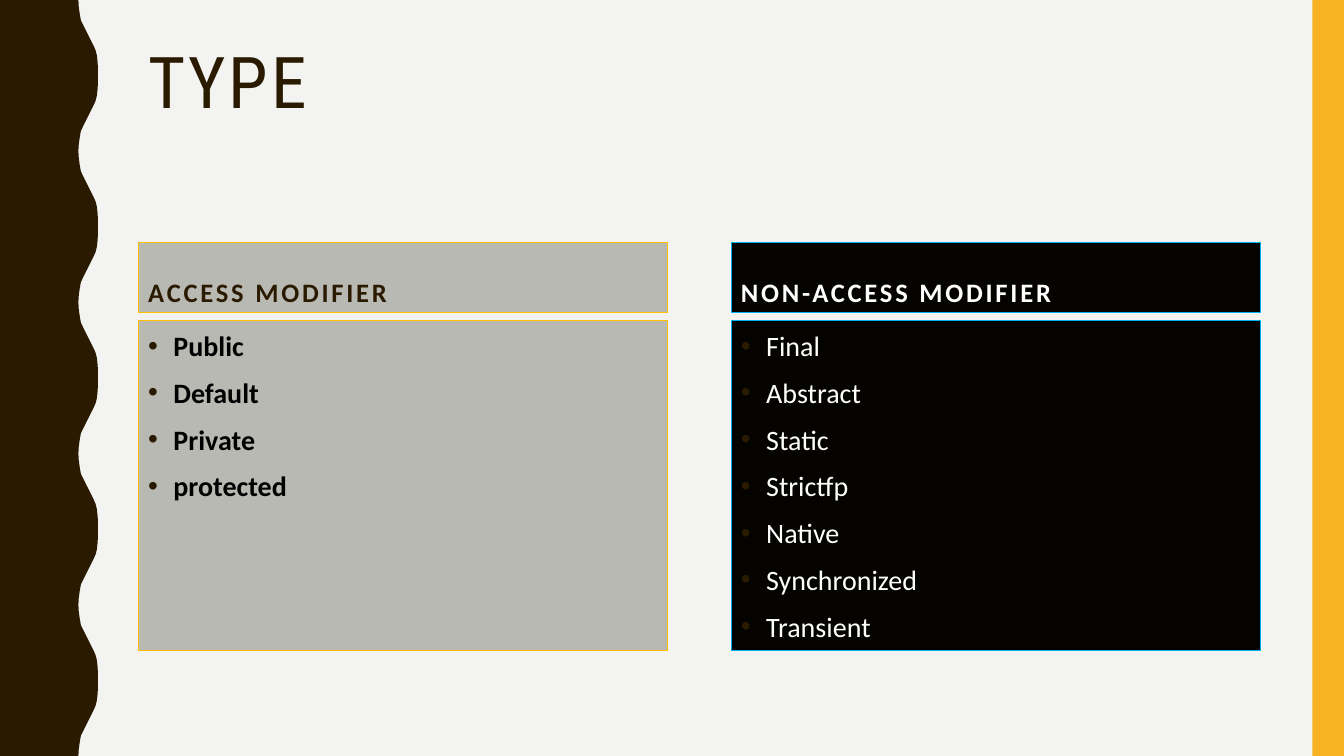
import pptx
import pptx.util
import pptx.dml.color
import pptx.enum.shapes
import pptx.enum.text
import lxml.etree

Pt = pptx.util.Pt
RGB = pptx.dml.color.RGBColor
ANCHOR = pptx.enum.text.MSO_ANCHOR
RECT = pptx.enum.shapes.MSO_SHAPE.RECTANGLE

PAPER = RGB(0xF3, 0xF3, 0xF2)
BROWN = RGB(0x2A, 0x1A, 0x00)
AMBER = RGB(0xF8, 0xB3, 0x23)
GREY = RGB(0xB9, 0xB9, 0xB3)
GOLD = RGB(0xFF, 0xC0, 0x00)
INK = RGB(0x04, 0x03, 0x00)
BLUE = RGB(0x00, 0xB0, 0xF0)
BLACK = RGB(0x00, 0x00, 0x00)
WHITE = RGB(0xFF, 0xFF, 0xFF)

WIDTH, HEIGHT = 960, 540
PERIOD = 108
# Half of one wave, from trough to crest
HALF = [(56, 0), (56.3, 5), (57, 10), (57.8, 14.5), (59.5, 18), (61, 21),
        (62.5, 24), (64, 27), (65.5, 30), (67, 33), (68.3, 36),
        (69.2, 39.5), (69.7, 44), (70, 49), (70, 54)]


def put_text(shape, lines, font="Calibri", size=20, color=BLACK, bold=False,
             gap=0, before=0, lead=None, bullet=None, anchor=ANCHOR.TOP):
    frame = shape.text_frame
    frame.word_wrap = True
    frame.vertical_anchor = anchor
    for i, line in enumerate(lines):
        para = frame.add_paragraph() if i else frame.paragraphs[0]
        para.alignment = pptx.enum.text.PP_ALIGN.LEFT
        para.space_before = Pt(before)
        if lead:
            para.line_spacing = lead
        run = para.add_run()
        run.text = line
        run.font.name = font
        run.font.size = Pt(size)
        run.font.bold = bold
        run.font.color.rgb = color
        if gap:
            run.font._element.set("spc", str(gap * 100))
        if bullet:
            add_bullet(para, bullet)


def add_bullet(para, color):
    props = para._p.get_or_add_pPr()
    props.set("marL", str(Pt(18)))
    props.set("indent", str(-Pt(18)))
    tint = lxml.etree.SubElement(props, pptx.oxml.ns.qn("a:buClr"))
    lxml.etree.SubElement(tint, pptx.oxml.ns.qn("a:srgbClr"), val=str(color))
    lxml.etree.SubElement(props, pptx.oxml.ns.qn("a:buFont"), typeface="Arial")
    lxml.etree.SubElement(props, pptx.oxml.ns.qn("a:buChar"), char="•")


def paint(shape, fill, line=None):
    shape.shadow.inherit = False
    shape.fill.solid()
    shape.fill.fore_color.rgb = fill
    if line:
        shape.line.color.rgb = line
        shape.line.width = Pt(0.75)
    else:
        shape.line.fill.background()


def add_box(slide, left, top, width, height, fill, line=None):
    box = slide.shapes.add_shape(RECT, Pt(left), Pt(top), Pt(width), Pt(height))
    paint(box, fill, line)
    return box


def add_wave(slide, left, top, height):
    crest = HALF + [(x, PERIOD - y) for x, y in HALF[-2::-1]]
    edge = [(x, y + n * PERIOD) for n in range(height // PERIOD)
            for x, y in crest]
    points = [(Pt(left + x), Pt(top + y)) for x, y in edge + [(0, height)]]
    path = slide.shapes.build_freeform(Pt(left), Pt(top), scale=1.0)
    path.add_line_segments(points, close=True)
    paint(path.convert_to_shape(), BROWN)


def add_title(slide, left, top, width, height, text):
    box = slide.shapes.add_textbox(Pt(left), Pt(top), Pt(width), Pt(height))
    put_text(box, [text], font="Roboto Condensed", size=51, color=BROWN,
             gap=2, lead=0.9)


def add_panel(slide, left, top, width, height, head, items, fill, line,
              title, color, bold):
    bar, space = 49.7, 5.8
    box = add_box(slide, left, top, width, bar, fill, line)
    put_text(box, [head], size=19, color=title, bold=True, gap=2, before=7,
             anchor=ANCHOR.BOTTOM)
    drop = bar + space
    box = add_box(slide, left, top + drop, width, height - drop, fill, line)
    put_text(box, items, color=color, bold=bold, before=7, lead=1.1,
             bullet=BROWN)


def main():
    deck = pptx.Presentation()
    deck.slide_width, deck.slide_height = Pt(WIDTH), Pt(HEIGHT)
    slide = deck.slides.add_slide(deck.slide_layouts[6])
    slide.background.fill.solid()
    slide.background.fill.fore_color.rgb = PAPER

    # Side trim
    add_wave(slide, 0, 0, HEIGHT)
    add_box(slide, 937.5, 0, 22.5, HEIGHT, AMBER)

    # Title and the two lists
    add_title(slide, 98.8, 30.2, 800.6, 117.4, "TYPE")
    add_panel(slide, 98.8, 173.4, 378, 291.5, "ACCESS MODIFIER",
              ["Public", "Default", "Private", "protected"],
              GREY, GOLD, BROWN, BLACK, True)
    add_panel(slide, 522.2, 173.4, 378, 291.5, "NON-ACCESS MODIFIER",
              ["Final", "Abstract", "Static", "Strictfp", "Native",
               "Synchronized", "Transient"],
              INK, BLUE, WHITE, WHITE, False)
    deck.save("out.pptx")


if __name__ == "__main__":
    main()
